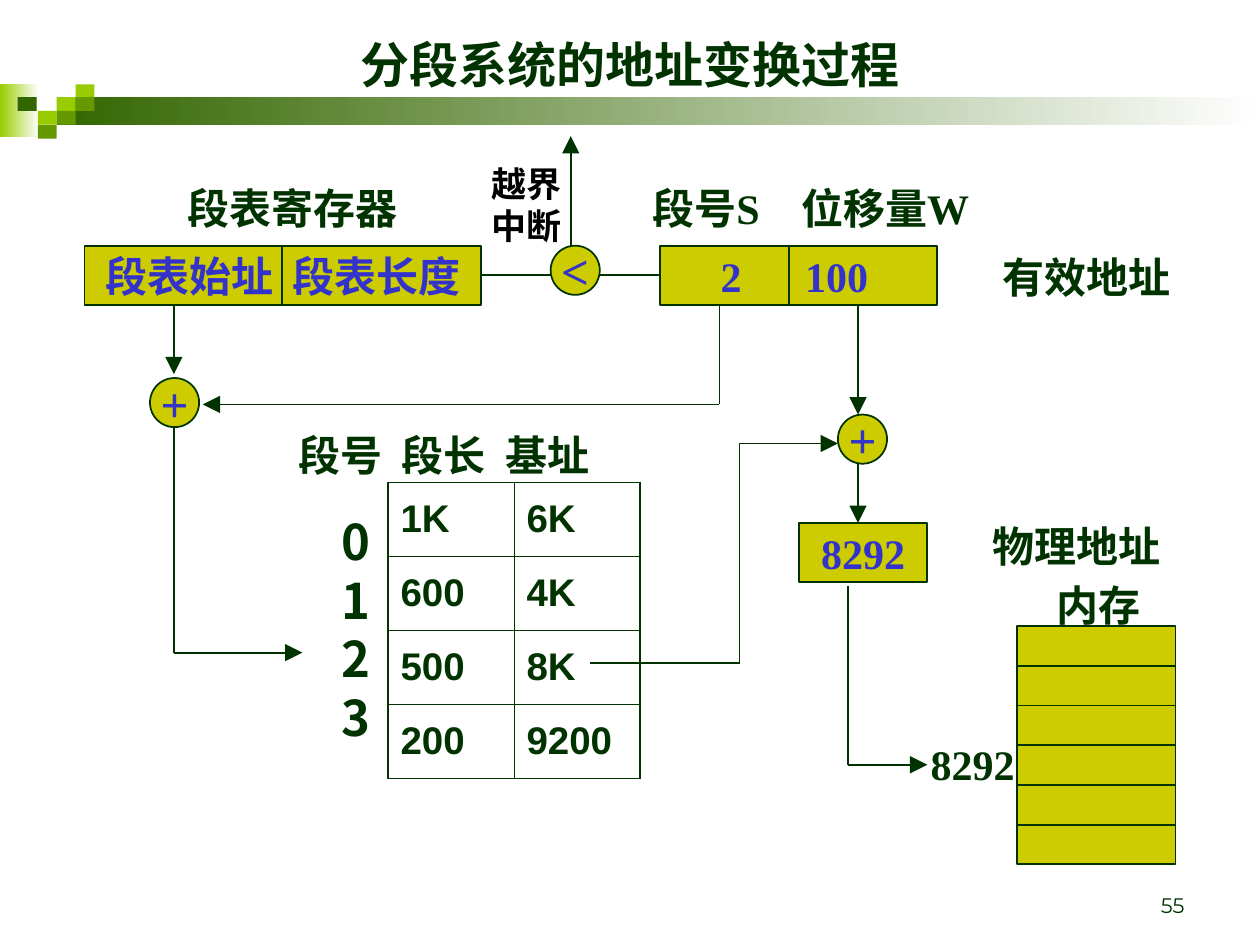
from pptx import Presentation
from pptx.dml.color import RGBColor
from pptx.enum import shapes, text
from pptx.oxml.ns import qn
from pptx.util import Inches, Pt
from lxml import etree

DARK = RGBColor(0x00, 0x33, 0x00)
FOREST = RGBColor(0x33, 0x66, 0x00)
GREEN = RGBColor(0x66, 0x99, 0x00)
LIME = RGBColor(0x99, 0xCC, 0x00)
OLIVE = RGBColor(0xCC, 0xCC, 0x00)
BLUE = RGBColor(0x33, 0x33, 0xCC)
BLACK = RGBColor(0x00, 0x00, 0x00)
WHITE = RGBColor(0xFF, 0xFF, 0xFF)
SERIF, SANS, CHINESE = "Times New Roman", "Arial", "Noto Sans CJK SC"
CENTER, LEFT, RIGHT = text.PP_ALIGN.CENTER, text.PP_ALIGN.LEFT, text.PP_ALIGN.RIGHT
TOP, MIDDLE, BOTTOM = (text.MSO_ANCHOR.TOP, text.MSO_ANCHOR.MIDDLE,
                       text.MSO_ANCHOR.BOTTOM)
RECTANGLE, OVAL = shapes.MSO_SHAPE.RECTANGLE, shapes.MSO_SHAPE.OVAL


def write(frame, words, size=24, color=DARK, font=SERIF, bold=True, align=CENTER,
          anchor=TOP, indent=0.1, tabs=()):
    """Fill a text frame; indent is the left inset, tabs are inches from it."""
    frame.text = words
    frame.word_wrap = True
    frame.vertical_anchor = anchor
    frame.margin_left = Inches(indent)
    if align == CENTER:
        frame.margin_left = frame.margin_right = 0
    for paragraph in frame.paragraphs:
        paragraph.alignment = align
        paragraph.line_spacing = Pt(size * 1.2)
        if tabs:
            properties = paragraph._p.get_or_add_pPr()
            tab_list = etree.SubElement(properties, qn("a:tabLst"))
            for tab in tabs:
                etree.SubElement(tab_list, qn("a:tab"), pos=str(Inches(tab)), algn="l")
        for run in paragraph.runs:
            run.font.size = Pt(size)
            run.font.bold = bold
            run.font.color.rgb = color
            run.font.name = font
            etree.SubElement(run._r.get_or_add_rPr(), qn("a:ea"), typeface=CHINESE)


def draw_path(*points, arrow=False):
    """Join the points with straight connectors; return the last one."""
    for start, end in zip(points, points[1:]):
        connector = slide.shapes.add_connector(
            shapes.MSO_CONNECTOR.STRAIGHT, *[Inches(v) for v in start + end])
        connector.line.color.rgb = DARK
        connector.line.width = Pt(1)
        etree.SubElement(connector._element.spPr, qn("a:effectLst"))
    if arrow:
        etree.SubElement(connector.line._get_or_add_ln(), qn("a:tailEnd"),
                         type="triangle", w="lg", len="lg")
    return connector


presentation = Presentation()
presentation.slide_width, presentation.slide_height = Inches(10), Inches(7.5)
slide = presentation.slides.add_slide(presentation.slide_layouts[5])

# Header band: two gradient bars and a checker of small tiles
for left, top, width, height, color in [(0, 0.67, 0.31, 0.42, LIME),
                                        (0.45, 0.77, 9.55, 0.22, FOREST)]:
    bar = slide.shapes.add_shape(RECTANGLE, Inches(left), Inches(top),
                                 Inches(width), Inches(height))
    bar.shadow.inherit = False
    bar.line.fill.background()
    bar.fill.gradient()
    bar.fill.gradient_angle = 0
    for stop, stop_color in zip(bar.fill.gradient_stops, (color, WHITE)):
        stop.color.rgb = stop_color
for left, top, color in [(0.45, 0.77, LIME), (0.6, 0.67, LIME), (0.6, 0.77, GREEN),
                         (0.3, 0.88, LIME), (0.14, 0.77, FOREST),
                         (0.45, 0.88, GREEN), (0.3, 0.99, GREEN)]:
    tile = slide.shapes.add_shape(RECTANGLE, Inches(left), Inches(top),
                                  Inches(0.15), Inches(0.11))
    tile.shadow.inherit = False
    tile.fill.solid()
    tile.fill.fore_color.rgb = color
    tile.line.fill.background()

title = slide.shapes.title
title.left, title.top, title.width, title.height = [Inches(v) for v in (0.5, 0.17, 9, 0.67)]
write(title.text_frame, "分段系统的地址变换过程", 28, font=SANS, anchor=MIDDLE)

# Olive boxes and operator circles
nodes = {}
for name, kind, left, top, width, height, words, options in [
    ("table register", RECTANGLE, 0.67, 1.95, 3.15, 0.47, "段表始址\t段表长度",
     dict(align=LEFT, indent=0.17, tabs=[1.48])),
    ("address", RECTANGLE, 5.24, 1.95, 2.2, 0.47, "2\t100",
     dict(align=LEFT, indent=0.48, tabs=[0.67])),
    ("compare", OVAL, 4.37, 1.95, 0.39, 0.39, "<", dict(size=28)),
    ("table adder", OVAL, 1.19, 3, 0.39, 0.39, "+", dict(size=28)),
    ("address adder", OVAL, 6.65, 3.29, 0.39, 0.39, "+", dict(size=28)),
    ("physical address", RECTANGLE, 6.34, 4.15, 1.02, 0.47, "8292", {}),
    ("memory", RECTANGLE, 8.07, 4.97, 1.26, 1.89, "", {}),
]:
    node = slide.shapes.add_shape(kind, Inches(left), Inches(top),
                                  Inches(width), Inches(height))
    node.shadow.inherit = False
    node.fill.solid()
    node.fill.fore_color.rgb = OLIVE
    node.line.color.rgb = DARK
    node.line.width = Pt(1)
    if words:
        write(node.text_frame, words, color=BLUE, anchor=MIDDLE, **options)
    nodes[name] = node

# Dividers inside the boxes
for x in (2.24, 6.26):
    draw_path((x, 1.95), (x, 2.42))
for row in range(1, 6):
    y = 4.97 + row * 1.89 / 6
    draw_path((8.07, y), (9.33, y))

# Segment table
cells = [("1K", "6K"), ("600", "4K"), ("500", "8K"), ("200", "9200")]
table = slide.shapes.add_table(4, 2, Inches(3.08), Inches(3.83),
                               Inches(2), Inches(2.35)).table
table.first_row = table.horz_banding = False
for r, values in enumerate(cells):
    table.rows[r].height = Inches(2.35 / 4)
    for c, value in enumerate(values):
        cell = table.cell(r, c)
        cell.text = value
        paragraph = cell.text_frame.paragraphs[0]
        paragraph.line_spacing = 1.2
        font = paragraph.runs[0].font
        font.size, font.bold, font.name = Pt(22), True, SANS
        font.color.rgb = DARK
        properties = cell._tc.get_or_add_tcPr()
        for side, outer in [("L", c == 0), ("R", c == 1), ("T", r == 0), ("B", r == 3)]:
            border = etree.SubElement(properties, qn("a:ln" + side),
                                      w=str(Pt(1.08 if outer else 0.45)))
            fill = etree.SubElement(border, qn("a:solidFill"))
            etree.SubElement(fill, qn("a:srgbClr"), val=str(DARK))
        cell.fill.background()

# Signal lines
box_middle = 1.95 + 0.47 / 2
draw_path((3.82, box_middle), (4.37, box_middle)).begin_connect(nodes["table register"], 3)
draw_path((4.76, box_middle), (5.24, box_middle)).end_connect(nodes["address"], 1)
for points in [
    [(4.53, 1.95), (4.53, 1.08)],
    [(1.38, 2.42), (1.38, 2.97)],
    [(5.71, 2.42), (5.71, 3.21), (1.61, 3.21)],
    [(1.38, 3.38), (1.38, 5.18), (2.4, 5.18)],
    [(4.68, 5.26), (5.87, 5.26), (5.87, 3.52), (6.65, 3.52)],
    [(6.81, 2.42), (6.81, 3.29)],
    [(6.81, 3.68), (6.81, 4.15)],
    [(6.73, 4.65), (6.73, 6.07), (7.36, 6.07)],
]:
    draw_path(*points, arrow=True)

# Labels
for left, top, width, height, words, options in [
    (1.39, 1.4, 1.86, 0.5, "段表寄存器", {}),
    (5.08, 1.4, 2.79, 0.5, "段号S\t位移量W", dict(align=LEFT, tabs=[1.18])),
    (7.68, 1.95, 1.89, 0.5, "有效地址", {}),
    (3.5, 1.24, 1.36, 0.77, "越界\n中断", dict(size=20, color=BLACK)),
    (2.61, 4.01, 0.43, 1.97, "0\n1\n2\n3", dict(size=28, font=CHINESE)),
    (2.09, 3.36, 2.86, 0.5, "段号\t段长\t基址",
     dict(align=LEFT, indent=0.28, tabs=[0.82, 1.64])),
    (7.68, 4.08, 1.73, 0.5, "物理地址", {}),
    (7.29, 5.81, 0.86, 0.5, "8292", {}),
    (8.29, 4.55, 0.86, 0.5, "内存", {}),
    (7.17, 6.83, 2.33, 0.5, "55", dict(size=12, font="Montserrat", bold=False,
                                       align=RIGHT, anchor=BOTTOM)),
]:
    label = slide.shapes.add_textbox(Inches(left), Inches(top), Inches(width), Inches(height))
    write(label.text_frame, words, **options)

presentation.save("out.pptx")
